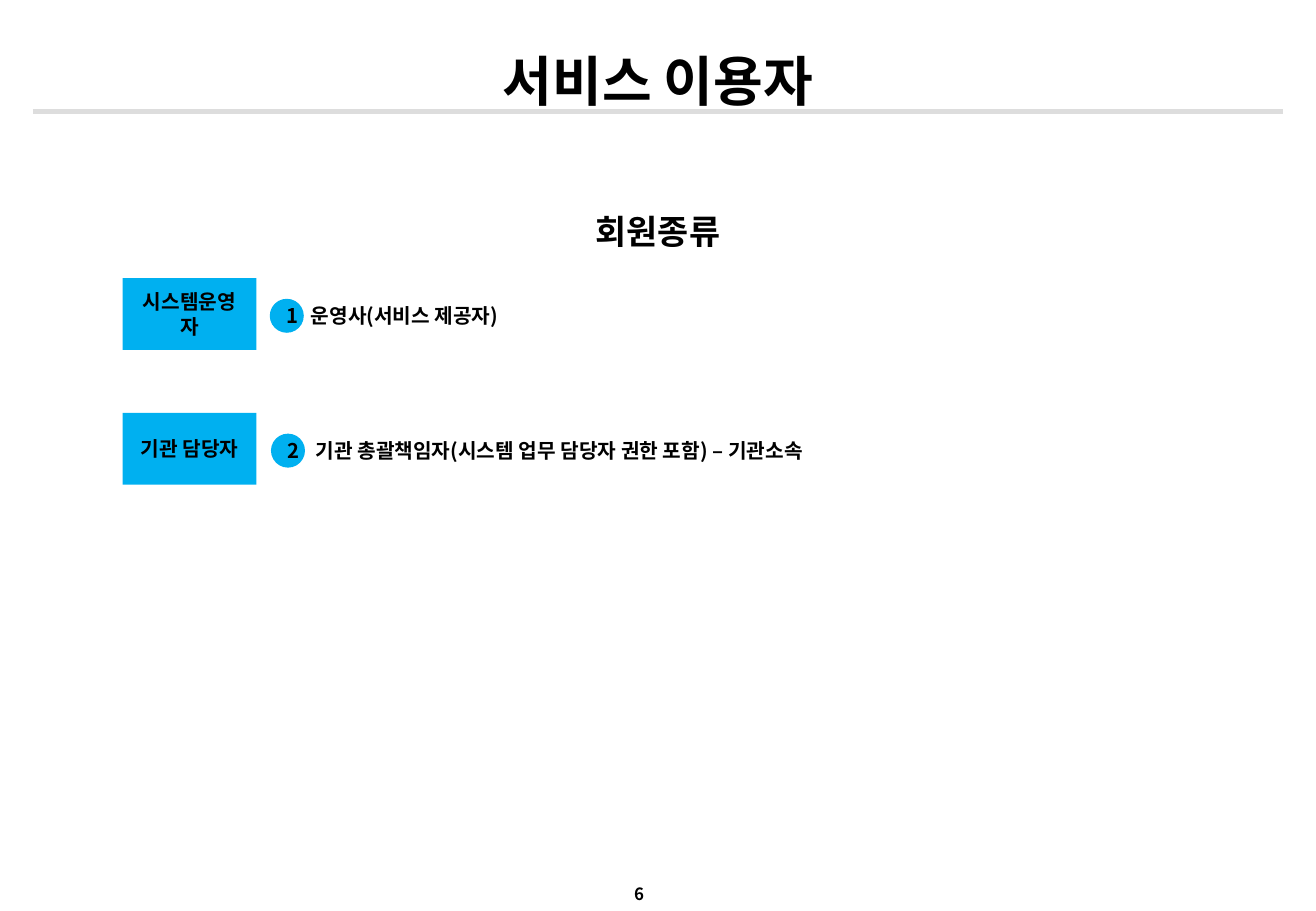
"""Build the slide that lists the kinds of service members."""
import pptx
import pptx.dml.color
import pptx.enum.shapes
import pptx.enum.text
import pptx.oxml
import pptx.oxml.ns
import pptx.util

Inches = pptx.util.Inches
SHAPE = pptx.enum.shapes.MSO_SHAPE
ANCHOR = pptx.enum.text.MSO_ANCHOR
ALIGN = pptx.enum.text.PP_ALIGN
BLACK = pptx.dml.color.RGBColor(0x00, 0x00, 0x00)
BLUE = pptx.dml.color.RGBColor(0x00, 0xB0, 0xF0)
GRAY = pptx.dml.color.RGBColor(0xDD, 0xDD, 0xDD)
FONT = "Noto Sans CJK KR"

MEMBERS = [
    ("시스템운영자", "운영사(서비스 제공자)", 2.29, 2.22, 2.46, 1.9),
    ("기관 담당자", "기관 총괄책임자(시스템 업무 담당자 권한 포함) – 기관소속", 3.4, 2.23, 2.5, 4.7),
]


def write(sp, text, size=12, align=ALIGN.LEFT, anchor=ANCHOR.TOP, wrap=True, spacing=None):
    """Put one bold paragraph into a shape."""
    tf = sp.text_frame
    tf.word_wrap = wrap
    tf.vertical_anchor = anchor
    p = tf.paragraphs[0]
    p.alignment = align
    p.line_spacing = spacing
    r = p.add_run()
    r.text = text
    r.font.size = pptx.util.Pt(size)
    r.font.bold = True
    r.font.name = FONT
    r.font.color.rgb = BLACK
    ea = pptx.oxml.ns.qn("a:ea")
    r.font._element.append(r.font._element.makeelement(ea, {"typeface": FONT}))


def add_text(s, text, x, y, w, h, **fmt):
    """Add a text box."""
    sp = s.shapes.add_textbox(Inches(x), Inches(y), Inches(w), Inches(h))
    write(sp, text, **fmt)


def add_block(s, kind, text, x, y, w, h):
    """Add a blue shape with centred text."""
    sp = s.shapes.add_shape(kind, Inches(x), Inches(y), Inches(w), Inches(h))
    sp.shadow.inherit = False
    sp.fill.solid()
    sp.fill.fore_color.rgb = BLUE
    sp.line.fill.background()
    write(sp, text, align=ALIGN.CENTER, anchor=ANCHOR.MIDDLE)


def add_rule(s, x1, x2, y):
    """Add the gray line under the title."""
    c = s.shapes.add_connector(
        pptx.enum.shapes.MSO_CONNECTOR.STRAIGHT, Inches(x1), Inches(y), Inches(x2), Inches(y))
    c.line.color.rgb = GRAY
    c.line.width = pptx.util.Pt(3)
    sp_pr = c._element.spPr
    sp_pr.append(sp_pr.makeelement(pptx.oxml.ns.qn("a:effectLst")))


def add_member(s, number, role, detail, y, badge_x, detail_x, detail_w):
    """Add one row: role box, numbered badge and description."""
    add_block(s, SHAPE.RECTANGLE, role, 1.01, y, 1.1, 0.59)
    add_text(s, detail, detail_x, y + 0.16, detail_w, 0.3, wrap=False)
    add_block(s, SHAPE.OVAL, str(number), badge_x, y + 0.17, 0.28, 0.28)


def main():
    """Build and save the slide."""
    prs = pptx.Presentation()
    prs.slide_width, prs.slide_height = Inches(10.83), Inches(7.5)
    s = prs.slides.add_slide(prs.slide_layouts[6])
    add_rule(s, 0.27, 10.56, 0.92)
    add_text(s, "6", 5.12, 7.22, 0.38, 0.27, size=10, anchor=ANCHOR.MIDDLE, wrap=False)
    add_text(s, "회원종류", 0, 1.52, 10.83, 0.54, size=20, align=ALIGN.CENTER, spacing=1.5)
    for number, member in enumerate(MEMBERS, 1):
        add_member(s, number, *member)
    add_text(s, "서비스 이용자", 0.27, 0.21, 10.29, 0.71, size=32,
             align=ALIGN.CENTER, anchor=ANCHOR.MIDDLE, spacing=1.35)
    prs.save("out.pptx")


if __name__ == "__main__":
    main()
